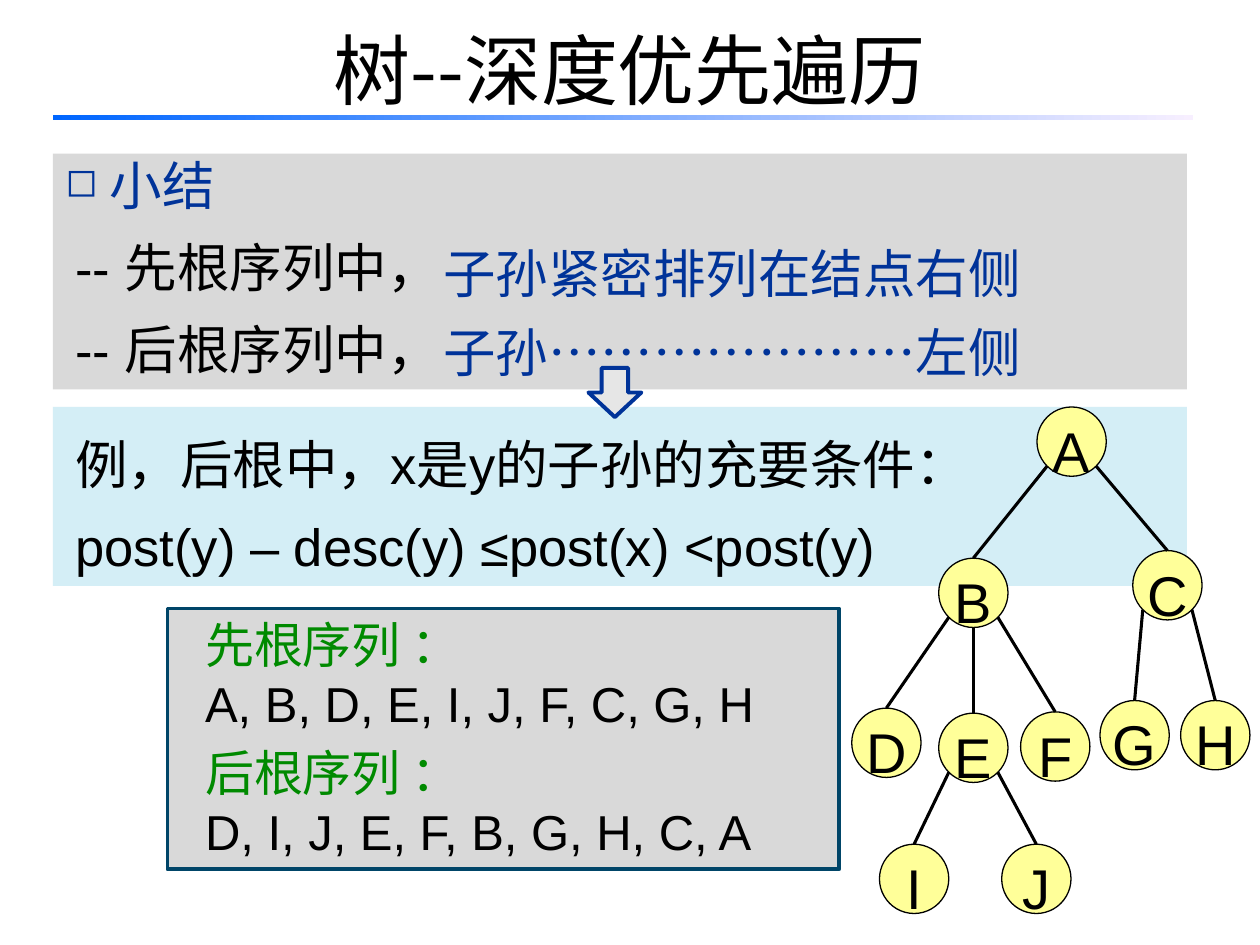
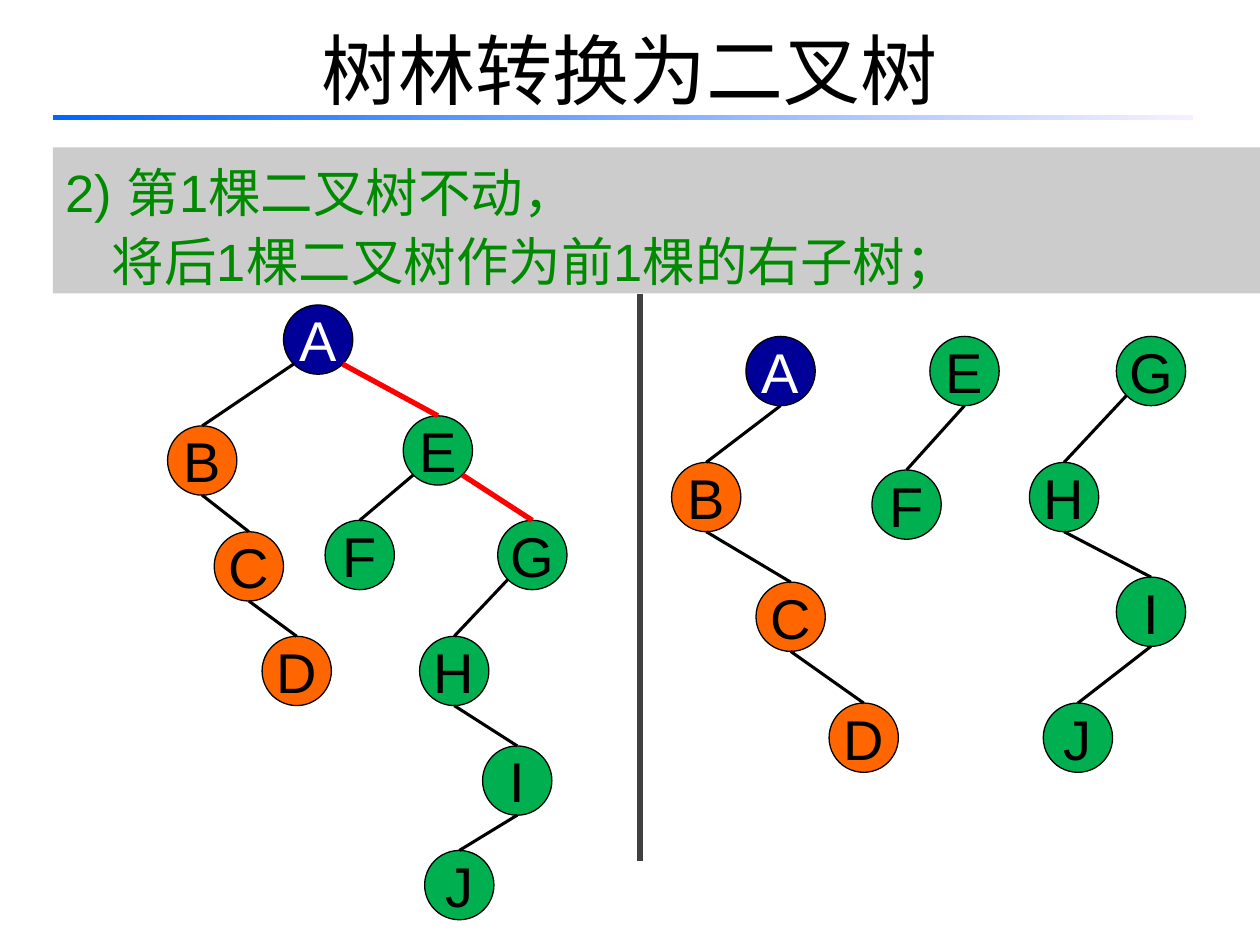
from lxml.etree import SubElement
from pptx import Presentation
from pptx.dml.color import RGBColor
from pptx.enum.shapes import MSO_CONNECTOR, MSO_SHAPE as SHAPE
from pptx.enum.text import MSO_ANCHOR, MSO_AUTO_SIZE, PP_ALIGN
from pptx.oxml.ns import qn
from pptx.util import Inches, Pt

rgb = RGBColor.from_string
LATIN, CJK = "Arial", "Noto Sans CJK SC"
BLACK, WHITE, BLUE, GREEN = "000000", "FFFFFF", "003399", "008A00"
GRAY, YELLOW, ORANGE, LEAF, NAVY = "D9D9D9", "FFFF99", "FF6600", "00B050", "000099"
NODE = 0.55


def add_box(slide, kind, at, fill=None, line=None, line_width=2.25):
    shape = slide.shapes.add_shape(kind, *map(Inches, at))
    shape.shadow.inherit = False
    if fill:
        shape.fill.solid()
        shape.fill.fore_color.rgb = rgb(fill)
    else:
        shape.fill.background()
    if line:
        shape.line.color.rgb = rgb(line)
        shape.line.width = Pt(line_width)
    else:
        shape.line.fill.background()
    return shape


def write(shape, lines, size, indent=0, spacing=1.0, align=PP_ALIGN.LEFT,
          anchor=MSO_ANCHOR.TOP, wrap=True, grow=False, font=LATIN):
    frame = shape.text_frame
    frame.word_wrap = wrap
    frame.vertical_anchor = anchor
    frame.auto_size = MSO_AUTO_SIZE.SHAPE_TO_FIT_TEXT if grow else MSO_AUTO_SIZE.NONE
    for i, (text, color) in enumerate(lines):
        par = frame.add_paragraph() if i else frame.paragraphs[0]
        par.text = text
        par.alignment = align
        par.line_spacing = spacing
        par.font.size = Pt(size)
        par.font.color.rgb = rgb(color)
        par.font.name = font
        props = par._p.get_or_add_pPr()
        props.set("marL", str(Inches(indent)))
        props.set("indent", "0")
        SubElement(props.find(qn("a:defRPr")), qn("a:ea"), typeface=CJK)
    return frame.paragraphs


prs = Presentation()
prs.slide_width, prs.slide_height = Inches(10), Inches(7.5)

# Title and gradient rule on both slides
slides = []
for title in ("树--深度优先遍历", "树林转换为二叉树"):
    slide = prs.slides.add_slide(prs.slide_layouts[6])
    heading = slide.shapes.add_textbox(*map(Inches, (0.5, -0.08, 9, 1.25)))
    write(heading, [(title, BLACK)], 44, align=PP_ALIGN.CENTER,
          anchor=MSO_ANCHOR.MIDDLE, font=CJK)
    rule = add_box(slide, SHAPE.RECTANGLE, (0.42, 0.91, 9.05, 0.04))
    rule.fill.gradient()
    rule.fill.gradient_angle = 0
    for stop, color in zip(rule.fill.gradient_stops, ("0066FF", "F7EFFF")):
        stop.color.rgb = rgb(color)
    slides.append(slide)
traversal, forest = slides

# Slide 1: descendant condition
condition = add_box(traversal, SHAPE.RECTANGLE, (0.42, 3.23, 9, 1.42), "D4EEF6")
write(condition, [("例，后根中，x是y的子孙的充要条件：", BLACK),
                  ("post(y) – desc(y) ≤post(x) <post(y)", BLACK)],
      30, indent=0.08, spacing=1.3, grow=True)

# Slide 1: the two sequences
sequences = add_box(traversal, SHAPE.RECTANGLE, (1.33, 4.83, 5.33, 2.07), GRAY, "004568")
sequence_lines = write(sequences, [("先根序列 ：", GREEN),
                                   ("A, B, D, E, I, J, F, C, G, H", BLACK),
                                   ("后根序列 ：", GREEN),
                                   ("D, I, J, E, F, B, G, H, C, A", BLACK)],
                       28, indent=0.2, grow=True)
sequence_lines[2].space_before = Pt(6)

# Slide 1: summary with a bulleted heading
summary = add_box(traversal, SHAPE.RECTANGLE, (0.42, 1.22, 9, 1.87), GRAY)
summary_head = write(summary, [(" 小结", BLUE), ("-- 先根序列中，", BLACK),
                               ("-- 后根序列中，", BLACK)],
                     30, indent=0.08, spacing=1.3, grow=True)[0]
summary_head.line_spacing = 0.9
head_props = summary_head._p.pPr
head_props.set("indent", str(-Inches(0.08)))
bullet_size = SubElement(head_props, qn("a:buSzPct"), val="75000")
bullet = SubElement(head_props, qn("a:buChar"), char="◻")
head_props.find(qn("a:defRPr")).addprevious(bullet_size)
head_props.find(qn("a:defRPr")).addprevious(bullet)

# Slide 1: answers and the arrow to the condition
for text, at, indent, spacing in (
        ("子孙紧密排列在结点右侧", (3.42, 1.74, 4.83, 0.67), 0, 1.25),
        ("子孙…………………左侧", (3.34, 2.34, 4.91, 0.68), 0.08, 1.3)):
    answer = traversal.shapes.add_textbox(*map(Inches, at))
    write(answer, [(text, BLUE)], 30, indent, spacing, wrap=False, grow=True)
add_box(traversal, SHAPE.DOWN_ARROW, (4.67, 2.92, 0.42, 0.39), "E6E6E6", BLUE)

# Slide 2: conversion step
step = add_box(forest, SHAPE.RECTANGLE, (0.42, 1.17, 9.58, 1.16), "CCCCCC")
step_lines = write(step, [("2) 第1棵二叉树不动，", GREEN),
                          ("将后1棵二叉树作为前1棵的右子树；", GREEN)],
                   30, spacing=1.1, grow=True)
step_lines[1]._p.pPr.set("marL", str(Inches(0.37)))

# Trees: node corners, then edges as parent, child, side (l, m, r) left from
general_tree = {"A": (8.23, 3.23), "B": (7.45, 4.43), "C": (8.99, 4.37),
                "D": (6.76, 5.62), "E": (7.45, 5.66), "F": (8.1, 5.65),
                "G": (8.73, 5.56), "H": (9.37, 5.56), "I": (6.98, 6.7), "J": (7.95, 6.7)}
joined_tree = {"A": (2.25, 2.42), "B": (1.33, 3.38), "C": (1.7, 4.22),
               "D": (2.08, 5.05), "E": (3.2, 3.3), "F": (2.58, 4.13),
               "G": (3.95, 4.13), "H": (3.33, 5.05), "I": (3.83, 5.92), "J": (3.37, 6.75)}
separate_trees = {"A": (5.92, 2.67), "B": (5.33, 3.67), "C": (6, 4.62),
                  "D": (6.58, 5.58), "E": (7.38, 2.67), "F": (6.92, 3.73),
                  "G": (8.86, 2.67), "H": (8.17, 3.67), "I": (8.86, 4.58), "J": (8.28, 5.58)}
group_fill = {"A": NAVY, "B": ORANGE, "C": ORANGE, "D": ORANGE}
side_offset = {"l": (0.08, 0.47), "m": (NODE / 2, NODE), "r": (0.47, 0.47)}
edges = []
for slide, tree, links, spacing in (
        (traversal, general_tree, "ABl ACr BDl BEm BFr CGl CHr EIl EJr", 1.25),
        (forest, joined_tree, "ABl AEr BCm CDm EFl EGr GHl HIm IJm", 1),
        (forest, separate_trees, "ABm BCm CDm EFm GHl HIm IJm", 1)):
    nodes = {}
    for letter, corner in tree.items():
        fill = YELLOW if slide is traversal else group_fill.get(letter, LEAF)
        nodes[letter] = add_box(slide, SHAPE.OVAL, (*corner, NODE, NODE), fill, BLACK, 0.75)
        write(nodes[letter], [(letter, WHITE if fill == NAVY else BLACK)], 32,
              spacing=spacing, align=PP_ALIGN.CENTER, anchor=MSO_ANCHOR.MIDDLE, wrap=False)
    for parent, child, side in links.split():
        (x, y), (dx, dy) = tree[parent], side_offset[side]
        child_x, child_y = tree[child]
        new_link = slide is forest and side == "r"
        edges.append((slide, (x + dx, y + dy, child_x + NODE / 2, child_y),
                      nodes[child], "FF0000" if new_link else BLACK, 3 if new_link else 1.75))

# Tree edges and the divider between the two forests
edges.append((forest, (5.08, 2.33, 5.08, 6.83), None, "404040", 3))
for slide, ends, child_node, color, width in edges:
    edge = slide.shapes.add_connector(MSO_CONNECTOR.STRAIGHT, *map(Inches, ends))
    edge.line.color.rgb = rgb(color)
    edge.line.width = Pt(width)
    SubElement(edge._element.spPr, qn("a:effectLst"))
    if child_node:
        edge.end_connect(child_node, 0)

prs.save("out.pptx")
